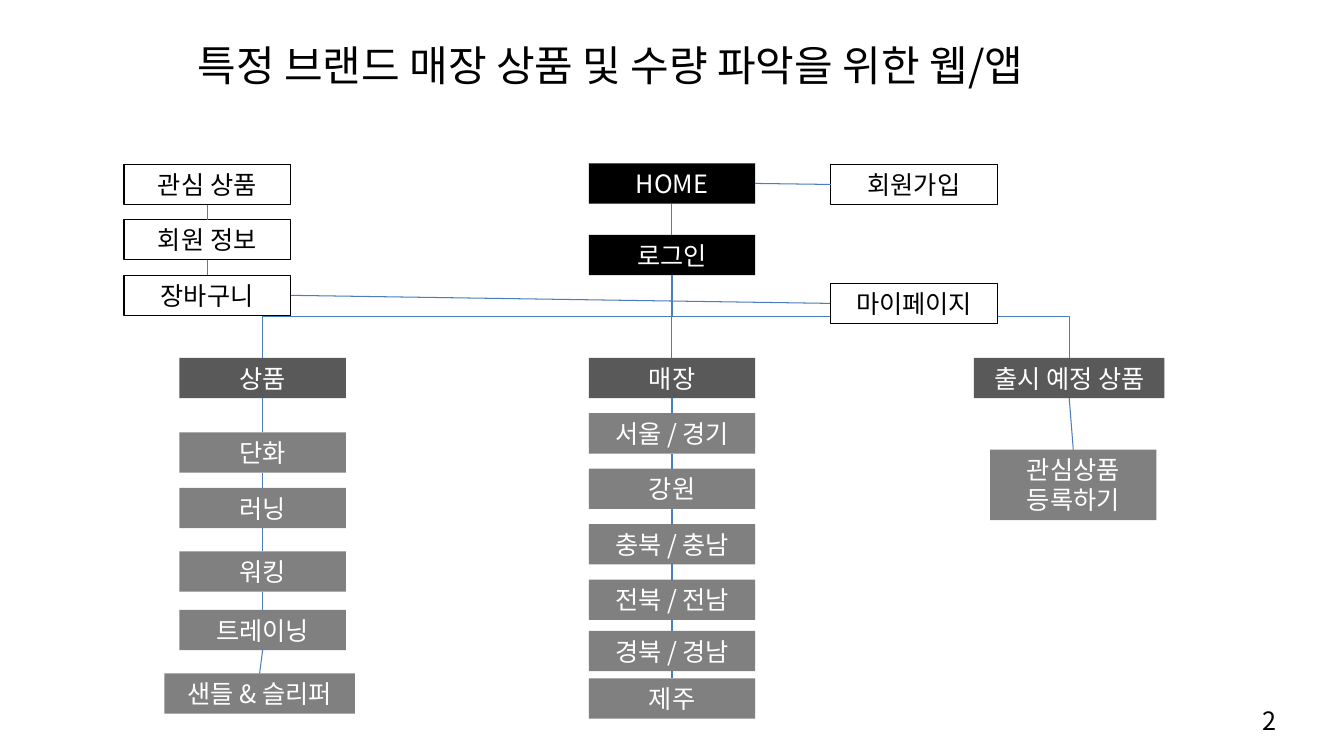
"""Build a one-slide site map for a store stock web/app."""
from dataclasses import dataclass
from itertools import pairwise

from lxml import etree
from pptx import Presentation
from pptx.dml.color import RGBColor
from pptx.enum.shapes import MSO_CONNECTOR, MSO_SHAPE
from pptx.enum.text import MSO_ANCHOR, MSO_AUTO_SIZE, PP_ALIGN
from pptx.oxml.ns import qn
from pptx.shapes.autoshape import Shape
from pptx.shapes.connector import Connector
from pptx.slide import Slide
from pptx.util import Inches, Pt

RECTANGLE = MSO_SHAPE.RECTANGLE
STRAIGHT, ELBOW = MSO_CONNECTOR.STRAIGHT, MSO_CONNECTOR.ELBOW
LEFT, CENTER = PP_ALIGN.LEFT, PP_ALIGN.CENTER
MIDDLE = MSO_ANCHOR.MIDDLE
GROW, FIXED = MSO_AUTO_SIZE.SHAPE_TO_FIT_TEXT, MSO_AUTO_SIZE.NONE

BLACK = RGBColor(0x00, 0x00, 0x00)
WHITE = RGBColor(0xFF, 0xFF, 0xFF)
DARK_GRAY = RGBColor(0x59, 0x59, 0x59)
GRAY = RGBColor(0x80, 0x80, 0x80)
BLUE = RGBColor(0x4A, 0x7E, 0xBB)

FONT = "Noto Sans CJK KR"
LINE_WIDTH = Pt(0.75)
TOP_SIDE, LEFT_SIDE, BOTTOM_SIDE, RIGHT_SIDE = range(4)
MEMBER_LEFT, PRODUCT_LEFT, STORE_LEFT, ACCOUNT_LEFT = 1.23, 1.78, 5.84, 8.24


@dataclass(frozen=True)
class Box:
    label: str
    left: float
    top: float
    fill: RGBColor
    width: float = 1.65
    height: float = 0.4


@dataclass(frozen=True)
class Link:
    start: str
    start_side: int
    end: str
    end_side: int
    kind: MSO_CONNECTOR = STRAIGHT


HOME = Box("HOME", STORE_LEFT, 1.62, BLACK)
LOGIN = Box("로그인", STORE_LEFT, 2.33, BLACK)
SIGN_UP = Box("회원가입", ACCOUNT_LEFT, 1.63, WHITE)
MY_PAGE = Box("마이페이지", ACCOUNT_LEFT, 2.81, WHITE)
CART = Box("장바구니", MEMBER_LEFT, 2.73, WHITE)
MEMBER_COLUMN = [
    Box("관심 상품", MEMBER_LEFT, 1.63, WHITE),
    Box("회원 정보", MEMBER_LEFT, 2.18, WHITE),
    CART,
]
PRODUCT_COLUMN = [
    Box("상품", PRODUCT_LEFT, 3.55, DARK_GRAY),
    Box("단화", PRODUCT_LEFT, 4.29, GRAY),
    Box("러닝", PRODUCT_LEFT, 4.84, GRAY),
    Box("워킹", PRODUCT_LEFT, 5.47, GRAY),
    Box("트레이닝", PRODUCT_LEFT, 6.05, GRAY),
    Box("샌들 & 슬리퍼", 1.63, 6.68, GRAY, width=1.89),
]
STORE_COLUMN = [
    Box("매장", STORE_LEFT, 3.55, DARK_GRAY),
    Box("서울 / 경기", STORE_LEFT, 4.1, GRAY),
    Box("강원", STORE_LEFT, 4.65, GRAY),
    Box("충북 / 충남", STORE_LEFT, 5.2, GRAY),
    Box("전북 / 전남", STORE_LEFT, 5.75, GRAY),
    Box("경북 / 경남", STORE_LEFT, 6.26, GRAY),
    Box("제주", STORE_LEFT, 6.73, GRAY),
]
RELEASE_COLUMN = [
    Box("출시 예정 상품", 9.66, 3.55, DARK_GRAY, width=1.89),
    Box("관심상품\n등록하기", 9.82, 4.46, GRAY, height=0.7),
]
COLUMNS = [MEMBER_COLUMN, PRODUCT_COLUMN, STORE_COLUMN, RELEASE_COLUMN]
BOXES = [HOME, LOGIN, SIGN_UP, MY_PAGE, *(box for column in COLUMNS for box in column)]

LINKS = [
    Link(HOME.label, BOTTOM_SIDE, LOGIN.label, TOP_SIDE, ELBOW),
    *(
        Link(LOGIN.label, BOTTOM_SIDE, column[0].label, TOP_SIDE, ELBOW)
        for column in (STORE_COLUMN, RELEASE_COLUMN, PRODUCT_COLUMN)
    ),
    Link(MY_PAGE.label, LEFT_SIDE, CART.label, RIGHT_SIDE),
    Link(SIGN_UP.label, LEFT_SIDE, HOME.label, RIGHT_SIDE),
    *(
        Link(upper.label, BOTTOM_SIDE, lower.label, TOP_SIDE)
        for column in COLUMNS
        for upper, lower in pairwise(column)
    ),
]


def write_text(shape: Shape, text: str, size: float, color: RGBColor,
               alignment: PP_ALIGN, auto_size: MSO_AUTO_SIZE) -> None:
    """Fill a shape with evenly formatted paragraphs."""
    frame = shape.text_frame
    frame.text = text
    frame_format = {"word_wrap": True, "auto_size": auto_size, "vertical_anchor": MIDDLE}
    for name, value in frame_format.items():
        setattr(frame, name, value)
    font_format = {"name": FONT, "size": Pt(size)}
    for paragraph in frame.paragraphs:
        paragraph.alignment = alignment
        paragraph.line_spacing = Pt(size * 1.2)
        for run in paragraph.runs:
            for name, value in font_format.items():
                setattr(run.font, name, value)
            run.font.color.rgb = color
            east_asian = etree.SubElement(run.font._element, qn("a:ea"))
            east_asian.set("typeface", FONT)


def add_label(slide: Slide, text: str, left: float, top: float,
              width: float, height: float, size: float) -> None:
    """Add a plain left-aligned text box."""
    shape = slide.shapes.add_textbox(Inches(left), Inches(top), Inches(width), Inches(height))
    write_text(shape, text, size, BLACK, LEFT, FIXED)


def add_box(slide: Slide, box: Box) -> Shape:
    """Add one page of the site map."""
    shape = slide.shapes.add_shape(
        RECTANGLE, Inches(box.left), Inches(box.top), Inches(box.width), Inches(box.height))
    shape.shadow.inherit = False
    shape.fill.solid()
    shape.fill.fore_color.rgb = box.fill
    outlined = box.fill == WHITE
    if outlined:
        shape.line.color.rgb = BLACK
        shape.line.width = LINE_WIDTH
    else:
        shape.line.fill.background()
    write_text(shape, box.label, 18, BLACK if outlined else WHITE, CENTER, GROW)
    return shape


def turn_downward(connector: Connector) -> None:
    """Rotate an elbow so that it leaves and arrives vertically."""
    start_x, start_y = connector.begin_x, connector.begin_y
    end_x, end_y = connector.end_x, connector.end_y
    drop, reach = end_y - start_y, abs(end_x - start_x)
    placement = {
        "left": (start_x + end_x - drop) // 2,
        "top": (start_y + end_y - reach) // 2,
        "width": drop,
        "height": reach,
    }
    for name, value in placement.items():
        setattr(connector, name, value)
    transform = connector._element.spPr.get_or_add_xfrm()
    for name, value in {"rot": 90, "flipH": False, "flipV": end_x >= start_x}.items():
        setattr(transform, name, value)


def add_link(slide: Slide, link: Link, shapes: dict[str, Shape]) -> None:
    """Join two pages with a thin connector."""
    connector = slide.shapes.add_connector(link.kind, 0, 0, 0, 0)
    connector.begin_connect(shapes[link.start], link.start_side)
    connector.end_connect(shapes[link.end], link.end_side)
    if link.kind == ELBOW:
        turn_downward(connector)
    connector.line.color.rgb = BLUE
    connector.line.width = LINE_WIDTH
    etree.SubElement(connector._element.spPr, qn("a:effectLst"))


def main() -> None:
    """Assemble and save the presentation."""
    presentation = Presentation()
    presentation.slide_width, presentation.slide_height = Inches(13.33), Inches(7.5)
    slide = presentation.slides.add_slide(presentation.slide_layouts[6])
    add_label(slide, "특정 브랜드 매장 상품 및 수량 파악을 위한 웹/앱", 1.86, 0.3, 9.62, 0.69, 30)
    add_label(slide, "2", 12.42, 6.95, 0.57, 0.4, 18)
    shapes = {box.label: add_box(slide, box) for box in BOXES}
    for link in LINKS:
        add_link(slide, link, shapes)
    for box in (MY_PAGE, CART):
        slide.shapes._spTree.append(shapes[box.label]._element)
    presentation.save("out.pptx")


if __name__ == "__main__":
    main()
